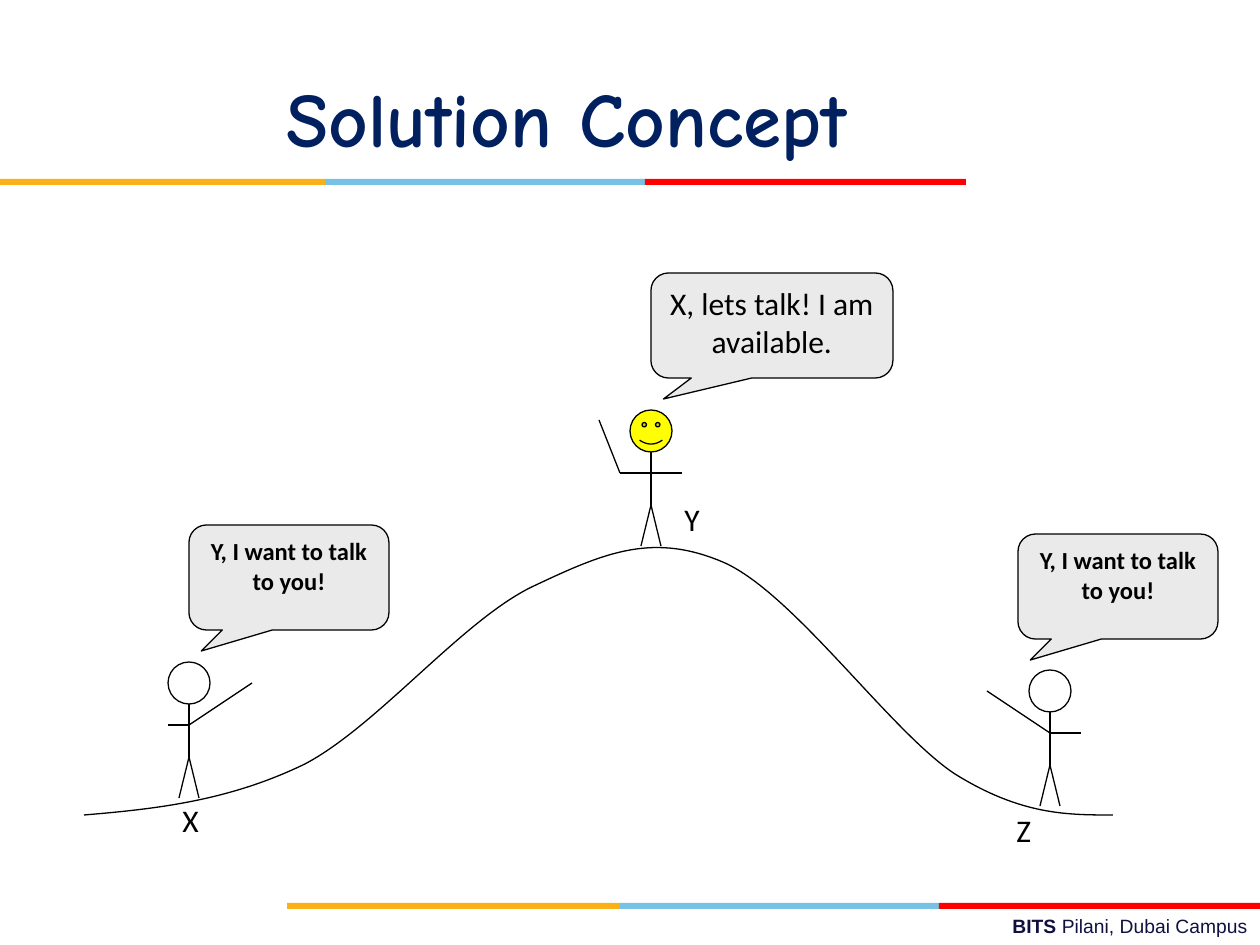
from pptx import Presentation
from pptx.dml.color import RGBColor
from pptx.enum.shapes import MSO_CONNECTOR, MSO_SHAPE
from pptx.enum.text import MSO_ANCHOR, PP_ALIGN
from pptx.oxml.ns import qn
from pptx.util import Emu, Pt

RECT, OVAL, SMILEY = MSO_SHAPE.RECTANGLE, MSO_SHAPE.OVAL, MSO_SHAPE.SMILEY_FACE
CALLOUT = MSO_SHAPE.ROUNDED_RECTANGULAR_CALLOUT
STRAIGHT = MSO_CONNECTOR.STRAIGHT
LEFT, CENTER, RIGHT = PP_ALIGN.LEFT, PP_ALIGN.CENTER, PP_ALIGN.RIGHT
TOP, MIDDLE = MSO_ANCHOR.TOP, MSO_ANCHOR.MIDDLE

EMU_PER_PX = 914400 / 126
COLORS = {
    "black": "000000", "navy": "002060", "footer": "101141",
    "gold": "FCB017", "sky": "76C2E5", "red": "FF0000",
    "bubble": "EAEAEA", "face": "FFFF00",
}
HEAD, SHOULDER, HIP, FEET, STRIDE = 42, 63, 95, 136, 10
HILL_START = (84, 815)
HILL_CURVES = [
    [(156, 809), (229, 801), (305, 764)],
    [(379, 725), (465, 617), (536, 585)],
    [(606, 552), (654, 532), (725, 563)],
    [(795, 595), (891, 732), (955, 774)],
    [(1021, 815), (1067, 815), (1113, 815)],
]


def px(n):
    return Emu(round(n * EMU_PER_PX))


def rgb(name):
    return RGBColor.from_string(COLORS[name])


def paint(sp, fill=None, line="black"):
    sp.shadow.inherit = False
    if fill:
        sp.fill.solid()
        sp.fill.fore_color.rgb = rgb(fill)
    else:
        sp.fill.background()
    if line:
        sp.line.color.rgb = rgb(line)
        sp.line.width = Pt(0.75)
    else:
        sp.line.fill.background()


def add_preset(slide, kind, box, **colors):
    sp = slide.shapes.add_shape(kind, *map(px, box))
    paint(sp, **colors)
    return sp


def add_line(slide, start, end):
    line = slide.shapes.add_connector(STRAIGHT, *map(px, (*start, *end)))
    line.line.color.rgb = rgb("black")
    line.line.width = Pt(0.75)
    sp_pr = line._element.spPr
    sp_pr.append(sp_pr.makeelement(qn("a:effectLst"), {}))


def write(sp, *runs, size=18, font="Calibri", color="black", align=LEFT,
          anchor=TOP, wrap=True):
    """Fill a shape with one paragraph of (text, bold) runs."""
    tf = sp.text_frame
    tf.word_wrap = wrap
    tf.vertical_anchor = anchor
    p = tf.paragraphs[0]
    p.alignment = align
    for text, bold in runs:
        r = p.add_run()
        r.text = text
        r.font.size = Pt(size)
        r.font.name = font
        r.font.bold = bold
        r.font.color.rgb = rgb(color)


def add_text(slide, box, *runs, **fmt):
    write(slide.shapes.add_textbox(*map(px, box)), *runs, **fmt)


def add_stripe(slide, y, edges):
    for name, left, right in zip(("gold", "sky", "red"), edges, edges[1:]):
        add_preset(slide, RECT, (left, y, right - left, 6), fill=name, line=None)


def add_hill(slide):
    builder = slide.shapes.build_freeform(*map(px, HILL_START))
    points = [tuple(map(px, pt)) for curve in HILL_CURVES for pt in curve]
    builder.add_line_segments(points, close=False)
    sp = builder.convert_to_shape()
    paint(sp)
    # The builder only draws straight segments: each three become one Bézier.
    path = sp._element.find(".//" + qn("a:path"))
    segments = path.findall(qn("a:lnTo"))
    for i in range(0, len(segments), 3):
        curve = path.makeelement(qn("a:cubicBezTo"), {})
        path.append(curve)
        for segment in segments[i:i + 3]:
            curve.append(segment[0])
            path.remove(segment)


def add_figure(slide, cx, top, arms, smiling=False):
    """Draw a stick figure; arms are (start, end) offsets from its head's top."""
    box = (cx - HEAD // 2, top, HEAD, HEAD)
    if smiling:
        add_preset(slide, SMILEY, box, fill="face")
    else:
        add_preset(slide, OVAL, box)
    limbs = [((0, HEAD), (0, HIP)),
             ((0, HIP), (-STRIDE, FEET)),
             ((0, HIP), (STRIDE, FEET))]
    for (x1, y1), (x2, y2) in limbs + arms:
        add_line(slide, (cx + x1, top + y1), (cx + x2, top + y2))


def add_bubble(slide, box, text, tip, size, bold):
    sp = add_preset(slide, CALLOUT, box, fill="bubble")
    for i, value in enumerate((tip, 0.7, 0.167)):
        sp.adjustments[i] = value
    write(sp, (text, bold), size=size, align=CENTER)


def main():
    prs = Presentation()
    prs.slide_width, prs.slide_height = px(1260), px(945)
    slide = prs.slides.add_slide(prs.slide_layouts[6])

    add_text(slide, (451, 908, 809, 37), ("BITS ", True),
             ("Pilani, Dubai Campus", False),
             size=11, font="Arial", color="footer", align=RIGHT)
    add_stripe(slide, 903, (287, 620, 939, 1260))
    add_stripe(slide, 179, (0, 325, 645, 966))
    add_text(slide, (0, 38, 1134, 157), ("Solution Concept", True), size=44,
             font="Comic Neue", color="navy", align=CENTER, anchor=MIDDLE)

    add_hill(slide)
    neck = (0, SHOULDER)
    add_figure(slide, 189, 662, [(neck, (-21, SHOULDER)), (neck, (63, 21))])
    add_figure(slide, 1050, 670, [(neck, (-63, 21)), (neck, (31, SHOULDER))])
    elbow = (-31, SHOULDER)
    add_figure(slide, 651, 410, [(neck, elbow), (neck, (31, SHOULDER)),
                                 (elbow, (-52, 10))], smiling=True)

    for left, top in ((189, 525), (1018, 534)):
        add_bubble(slide, (left, top, 200, 105), "Y, I want to talk to you!",
                   tip=-0.438, size=14, bold=True)
    add_bubble(slide, (651, 273, 242, 105), "X, lets talk! I am available.",
               tip=-0.448, size=18, bold=False)

    for name, left, top in (("X", 170, 795), ("Z", 1004, 805), ("Y", 672, 494)):
        add_text(slide, (left, top, 41, 50), (name, False), wrap=False)

    prs.save("out.pptx")


if __name__ == "__main__":
    main()
